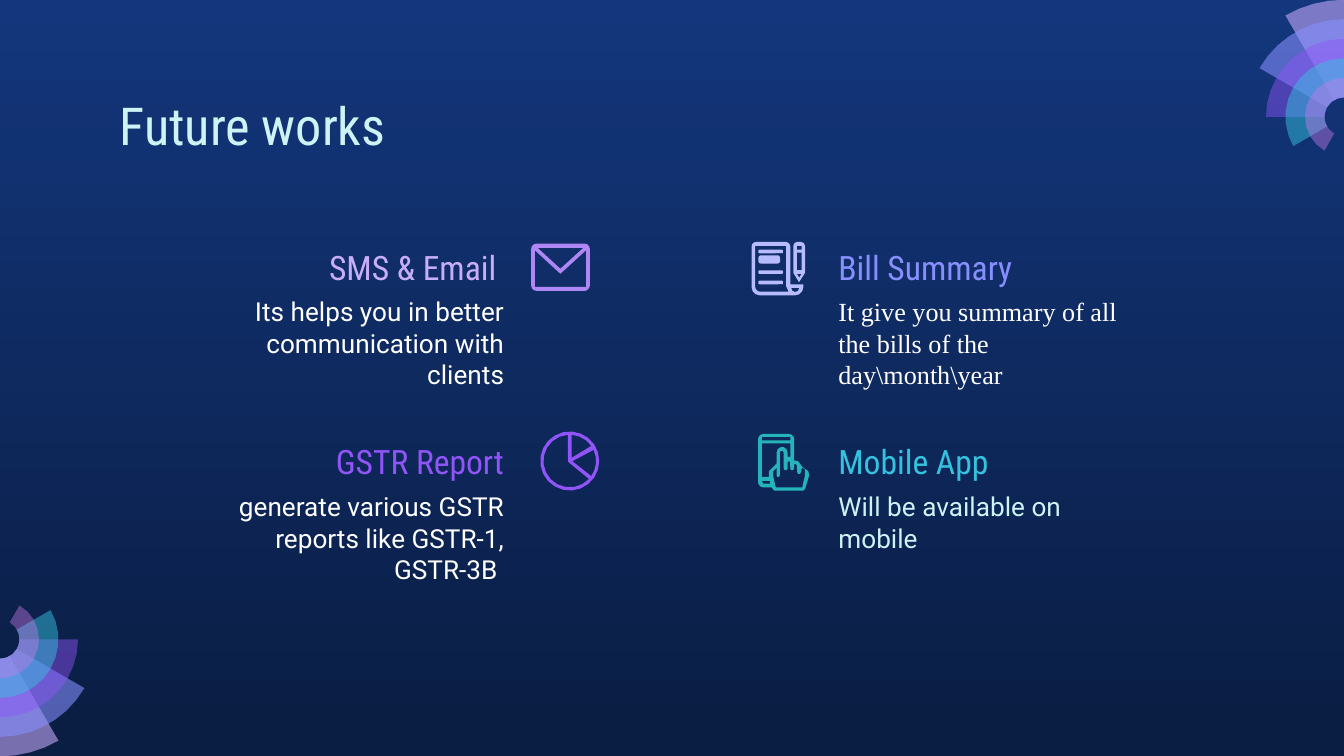
from dataclasses import dataclass
from math import ceil, cos, radians, sin, sqrt

from lxml.etree import SubElement
from pptx import Presentation
from pptx.dml.color import RGBColor
from pptx.enum.shapes import MSO_SHAPE
from pptx.enum.text import MSO_ANCHOR, MSO_AUTO_SIZE, PP_ALIGN
from pptx.oxml.ns import qn
from pptx.util import Pt


@dataclass(frozen=True)
class Theme:
    sky: str = "13367C"
    night: str = "0A1D42"
    white: str = "FFFFFF"
    ice: str = "CEF3F5"
    lilac: str = "C8AEF8"
    periwinkle: str = "878FFF"
    violet: str = "9154F8"
    cyan: str = "35C2DF"
    envelope: str = "AE87F5"
    document: str = "B7BCFF"
    phone: str = "26B4BB"
    pale_lilac: str = "C8ACFD"
    orchid: str = "CA7BEB"
    heading_font: str = "Roboto Condensed"
    body_font: str = "Roboto"
    serif_font: str = "Times New Roman"
    title_size: int = 28
    heading_size: int = 18
    body_size: int = 14


theme = Theme()


def add_outline(shapes, color, *contours):
    """Fill closed contours made of points (x, y) and arcs (x, y, radius, start, end).

    Contours inside the first one are holes. Larger arcs get finer steps.
    """
    builder = None
    for contour in contours:
        points = []
        for x, y, *arc in contour:
            if not arc:
                points.append((Pt(x), Pt(y)))
                continue
            radius, start, end = arc
            steps = ceil(abs(end - start) * sqrt(radius) / 70)
            for step in range(steps + 1):
                angle = radians(start + (end - start) * step / steps)
                points.append((Pt(x + radius * cos(angle)), Pt(y + radius * sin(angle))))
        if builder is None:
            builder = shapes.build_freeform(*points[0], scale=1.0)
        else:
            builder.move_to(*points[0])
        builder.add_line_segments(points[1:], close=True)
    shape = builder.convert_to_shape()
    shape.shadow.inherit = False
    shape.fill.solid()
    shape.fill.fore_color.rgb = RGBColor.from_string(color)
    shape.line.fill.background()
    return shape


def write_text(shape, text, font, size, color, align, anchor):
    frame = shape.text_frame
    frame.word_wrap = True
    frame.auto_size = MSO_AUTO_SIZE.NONE
    frame.vertical_anchor = anchor
    frame.margin_left = frame.margin_right = Pt(7.2)
    frame.margin_top = frame.margin_bottom = Pt(7.2)
    paragraph = frame.paragraphs[0]
    paragraph.alignment = align
    run = paragraph.add_run()
    run.text = text
    run.font.name = font
    run.font.size = Pt(size)
    run.font.color.rgb = RGBColor.from_string(color)


presentation = Presentation()
presentation.slide_width, presentation.slide_height = Pt(720), Pt(405)
slide = presentation.slides.add_slide(presentation.slide_layouts[5])
shapes = slide.shapes

background = slide.background.fill
background.gradient()
background.gradient_angle = 270
for stop, color in zip(background.gradient_stops, (theme.sky, theme.night)):
    stop.color.rgb = RGBColor.from_string(color)

# Corner fans: each band is one ring narrower and 30 degrees wider than the last
ring = 10.45
bands = [(theme.pale_lilac, 58), (theme.periwinkle, 58), (theme.violet, 46),
         (theme.cyan, 49), (theme.orchid, 42)]
for center_x, center_y, turn in [(720, 62.6, 180), (0, 342.5, 0)]:
    fan = shapes.add_group_shape()
    for index, (color, opacity) in enumerate(bands):
        start, end = turn + 60 - 30 * index, turn + 90
        band = add_outline(fan.shapes, color,
                           [(center_x, center_y, ring * (6 - index), start, end),
                            (center_x, center_y, ring, end, start)])
        fill_color = next(band.element.iter(qn("a:srgbClr")))
        SubElement(fill_color, qn("a:alpha")).set("val", str(opacity * 1000))

# Title
title = shapes.title
title.left, title.top, title.width, title.height = Pt(56.9), Pt(42.5), Pt(607), Pt(45.4)
write_text(title, "Future works", theme.heading_font, theme.title_size, theme.ice,
           PP_ALIGN.LEFT, MSO_ANCHOR.TOP)

# Four features: right edge of the left column, left edge of the right column
left_edge, right_edge = 277.2, 442.1
first_row, second_row = 127.4, 231.8
features = [
    (left_edge, first_row, "SMS & Email ", theme.lilac,
     " Its helps you in better communication with clients", theme.body_font, theme.white),
    (right_edge, first_row, "Bill Summary", theme.periwinkle,
     "It give you summary of all the bills of the day\\month\\year", theme.serif_font, theme.white),
    (left_edge, second_row, "GSTR Report", theme.violet,
     " generate various GSTR reports like GSTR-1, GSTR-3B ", theme.body_font, theme.white),
    (right_edge, second_row, "Mobile App", theme.cyan,
     "Will be available on mobile", theme.body_font, theme.ice),
]
for edge, top, heading, heading_color, body, body_font, body_color in features:
    on_left = edge == left_edge
    align = PP_ALIGN.RIGHT if on_left else PP_ALIGN.LEFT
    for text, font, size, color, offset, width, height, anchor in [
        (heading, theme.heading_font, theme.heading_size, heading_color,
         0, 132.5, 31, MSO_ANCHOR.MIDDLE),
        (body, body_font, theme.body_size, body_color, 23.8, 165.6, 64, MSO_ANCHOR.TOP),
    ]:
        left = edge - width if on_left else edge
        box = shapes.add_textbox(Pt(left), Pt(top + offset), Pt(width), Pt(height))
        write_text(box, text, font, size, color, align, anchor)

# Pie chart icon
pie_x, pie_y, inner = 305.2, 247, 14.1
add_outline(shapes, theme.violet,
            [(pie_x, pie_y, 15.8, 0, 360)],
            [(pie_x, pie_y, inner, -86, -35), (306.2, 245.3)],
            [(pie_x, pie_y, inner, -25, 35), (306.6, 247.1)],
            [(pie_x, pie_y, inner, 43, 266), (304.3, 247.4)])

# Envelope icon
add_outline(shapes, theme.envelope,
            [(287.5, 133.5, 3, 180, 270), (313, 133.5, 3, 270, 360),
             (313, 152.9, 3, 0, 90), (287.5, 152.9, 3, 90, 180)],
            [(312.5, 132.8), (300.2, 144), (288, 132.8)],
            [(314, 134.1), (314, 153.7), (286.5, 153.7), (286.5, 134.1), (300.2, 146.7)])

# Document and pencil icon
document = shapes.add_group_shape()
add_outline(document.shapes, theme.document,
            [(405.2, 132.2, 2.6, 180, 270), (420.8, 132.2, 2.6, 270, 360), (423.4, 152.4),
             (430.4, 152.4), (425.9, 153.8, 4.5, 0, 90), (407.1, 153.8, 4.5, 90, 180)],
            [(404.5, 131.7), (421.2, 131.7), (421.2, 153.6), (422.5, 156.3),
             (407.1, 153.8, 2.5, 90, 180)],
            [(426, 154.3, 2.2, 0, 180)])
for top, width, height in [(133.8, 13.2, 1.9), (136.8, 11.6, 4.4),
                           (144.8, 13.2, 1.9), (150.4, 13.2, 1.9)]:
    bar = document.shapes.add_shape(MSO_SHAPE.ROUNDED_RECTANGLE,
                                    Pt(406.3), Pt(top), Pt(width), Pt(height))
    bar.adjustments[0] = 0.3
    bar.shadow.inherit = False
    bar.fill.solid()
    bar.fill.fore_color.rgb = RGBColor.from_string(theme.document)
    bar.line.fill.background()
add_outline(document.shapes, theme.document,
            [(427.2, 131.8, 2.2, 180, 270), (429.1, 131.8, 2.2, 270, 360),
             (431.3, 146.2), (428.1, 151.2), (425, 146.2)],
            [(427, 131.7), (429.5, 131.7), (429.5, 133.8), (427, 133.8)],
            [(427, 135.4), (429.5, 135.4), (429.5, 144.8), (427, 144.8)],
            [(427, 146.8), (429.4, 146.8), (428.2, 148.8)])

# Phone and hand icon
add_outline(shapes, theme.phone,
            [(409, 235.4, 2.9, 180, 270), (422.6, 235.4, 2.9, 270, 360), (425.5, 246.9),
             (426.2, 249.2, 2.4, 270, 330), (430.6, 254, 2.8, 270, 360), (433.4, 255),
             (431.4, 261.8), (430.5, 262.9), (414.8, 262.9), (413.4, 261.2),
             (409, 258.3, 2.9, 90, 180)],
            [(408.2, 234.1), (423.4, 234.1), (423.4, 236), (408.2, 236)],
            [(408.2, 237.6), (423.4, 237.6), (423.4, 244.8), (421.9, 244.8),
             (419, 242.4, 2.9, 360, 180), (416.1, 248.4), (411.9, 252.5),
             (411.9, 255.6), (408.2, 255.6)],
            [(408.2, 257.6), (412.4, 257.6), (412.7, 259.2), (408.8, 259.2)],
            [(418.8, 242.4, 1, 180, 360), (420.9, 251.1, 1, 180, 0),
             (422.6, 247.8, 0.7, 180, 360), (424.4, 251.1, 1, 180, 0),
             (426.1, 249.2, 0.7, 180, 360), (428.1, 253, 1, 180, 0),
             (430.3, 251.4, 0.9, 180, 360), (431.2, 255), (429.8, 261.1), (415.6, 261.1),
             (414.2, 255), (414.2, 252.6), (416, 250.6), (416.9, 254.7, 0.9, 180, 0)])

presentation.save("out.pptx")
